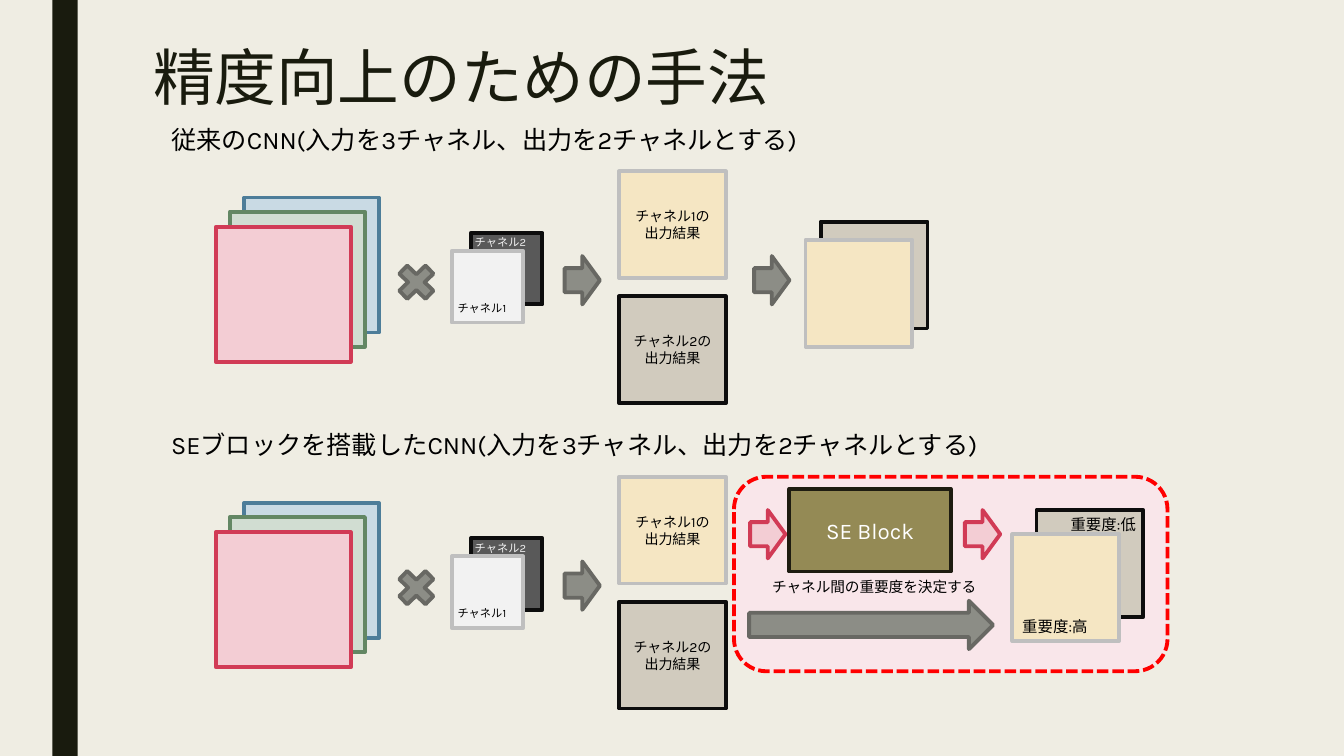
import pptx
import pptx.util
from pptx.dml.color import RGBColor
from pptx.enum.dml import MSO_LINE
from pptx.enum.shapes import MSO_SHAPE
from pptx.enum.text import MSO_ANCHOR, MSO_AUTO_SIZE, PP_ALIGN

PX = 9144
FONT = "Karla"

BACKGROUND = RGBColor(0xEF, 0xED, 0xE3)
DARK = RGBColor(0x19, 0x1B, 0x0E)
BLACK = RGBColor(0x00, 0x00, 0x00)
WHITE = RGBColor(0xFF, 0xFF, 0xFF)
PALE = RGBColor(0xF2, 0xF2, 0xF2)
RED = RGBColor(0xFF, 0x00, 0x00)
BLUSH = RGBColor(0xF9, 0xE6, 0xEA)
SILVER = RGBColor(0xBF, 0xBF, 0xBF)
INK = RGBColor(0x0D, 0x0D, 0x0D)

BLUE_STYLE = (RGBColor(0xC9, 0xDA, 0xE4), RGBColor(0x4D, 0x7D, 0x99))
GREEN_STYLE = (RGBColor(0xD1, 0xDD, 0xD2), RGBColor(0x63, 0x87, 0x64))
PINK_STYLE = (RGBColor(0xF3, 0xCD, 0xD4), RGBColor(0xD1, 0x3B, 0x56))
GRAY_STYLE = (RGBColor(0x8C, 0x8D, 0x86), RGBColor(0x68, 0x68, 0x63))
DARK_FILTER_STYLE = (RGBColor(0x59, 0x59, 0x59), INK)
LIGHT_FILTER_STYLE = (PALE, SILVER)
CREAM_STYLE = (RGBColor(0xF5, 0xE6, 0xC3), SILVER)
TAUPE_STYLE = (RGBColor(0xD1, 0xCB, 0xBE), INK)
OLIVE_STYLE = (RGBColor(0x94, 0x8A, 0x55), RGBColor(0x1E, 0x1C, 0x11))

INPUT_SIZE = 134
FILTER_SIZE = 71
OUTPUT_SIZE = 106
ARROW_WIDTH = 35
ARROW_HEIGHT = 48


def set_attributes(target, values):
    for name, value in values.items():
        setattr(target, name, value)


def write_lines(frame, lines, size, color, paragraph_format):
    for index, line in enumerate(lines):
        paragraph = frame.paragraphs[0] if index == 0 else frame.add_paragraph()
        set_attributes(paragraph, paragraph_format)
        run = paragraph.add_run()
        run.text = line
        set_attributes(run.font, {"name": FONT, "size": pptx.util.Pt(size)})
        run.font.color.rgb = color


def add_block(shapes, kind, box, style, lines=(), size=10, color=BLACK):
    shape = shapes.add_shape(kind, *(length * PX for length in box))
    fill, outline = style
    shape.shadow.inherit = False
    shape.fill.solid()
    shape.fill.fore_color.rgb = fill
    if outline is None:
        shape.line.fill.background()
    else:
        shape.line.color.rgb = outline
        shape.line.width = pptx.util.Pt(2.75)
    set_attributes(shape.text_frame, {"word_wrap": True, "vertical_anchor": MSO_ANCHOR.MIDDLE})
    write_lines(shape.text_frame, lines, size, color, {"alignment": PP_ALIGN.CENTER})
    return shape


def add_label(shapes, box, text, size, color=BLACK, fit=MSO_AUTO_SIZE.SHAPE_TO_FIT_TEXT, spacing=1.0):
    label = shapes.add_textbox(*(length * PX for length in box))
    set_attributes(label.text_frame, {
        "word_wrap": True, "auto_size": fit, "vertical_anchor": MSO_ANCHOR.TOP,
    })
    write_lines(label.text_frame, [text], size, color, {"line_spacing": spacing})


def add_arrow(shapes, left, top, style, width=ARROW_WIDTH):
    add_block(shapes, MSO_SHAPE.RIGHT_ARROW, (left, top, width, ARROW_HEIGHT), style)


def add_stack(slide, size, squares):
    group = slide.shapes.add_group_shape()
    for left, top, style in squares:
        add_block(group.shapes, MSO_SHAPE.RECTANGLE, (left, top, size, size), style)
    return group


def draw_title(slide, left, top, width, height):
    add_block(slide.shapes, MSO_SHAPE.RECTANGLE, (52, 0, 25, 750), (DARK, None))
    add_label(slide.shapes, (left, top, width, height), "精度向上のための手法", 44, DARK,
              MSO_AUTO_SIZE.NONE, 0.89)


def draw_convolution(slide, left, top, heading_width, heading):
    shapes = slide.shapes
    add_label(shapes, (left, top, heading_width, 40), heading, 18)
    input_styles = (BLUE_STYLE, GREEN_STYLE, PINK_STYLE)
    add_stack(slide, INPUT_SIZE, [
        (left + 82 - 14 * index, top + 78 + 29 * index // 2, style)
        for index, style in enumerate(input_styles)
    ])
    add_stack(slide, FILTER_SIZE, [
        (left + 307, top + 113, DARK_FILTER_STYLE),
        (left + 288, top + 131, LIGHT_FILTER_STYLE),
    ])
    add_block(shapes, MSO_SHAPE.MATH_MULTIPLY, (left + 228, top + 138, 50, 48), GRAY_STYLE)
    for index, style in enumerate((CREAM_STYLE, TAUPE_STYLE)):
        add_block(shapes, MSO_SHAPE.RECTANGLE,
                  (left + 454, top + 52 + 124 * index, OUTPUT_SIZE, OUTPUT_SIZE), style,
                  [f"チャネル{index + 1}の", "出力結果"])
    add_arrow(shapes, left + 400, top + 136, GRAY_STYLE)
    add_label(shapes, (left + 284, top + 176, 72, 24), "チャネル1", 8)
    add_label(shapes, (left + 301, top + 111, 72, 24), "チャネル2", 8, PALE)


def draw_plain_output(slide, left, top):
    add_arrow(slide.shapes, left, top + 34, GRAY_STYLE)
    add_stack(slide, OUTPUT_SIZE, [
        (left + 66, top, TAUPE_STYLE),
        (left + 51, top + 18, CREAM_STYLE),
    ])


def draw_se_region(slide, left, top, width, height):
    shapes = slide.shapes
    frame = add_block(shapes, MSO_SHAPE.ROUNDED_RECTANGLE, (left, top, width, height), (BLUSH, RED))
    frame.line.dash_style = MSO_LINE.SQUARE_DOT
    add_label(shapes, (left + 28, top + 95, 226, 28), "チャネル間の重要度を決定する", 10.5)
    outputs = add_stack(slide, OUTPUT_SIZE, [
        (left + 300, top + 33, TAUPE_STYLE),
        (left + 276, top + 57, CREAM_STYLE),
    ])
    add_label(outputs.shapes, (left + 324, top + 33, 86, 29), "重要度:低", 11)
    add_label(outputs.shapes, (left + 276, top + 134, 86, 29), "重要度:高", 11)
    add_arrow(shapes, left + 15, top + 123, GRAY_STYLE, 242)
    add_arrow(shapes, left + 16, top + 33, PINK_STYLE)
    add_block(shapes, MSO_SHAPE.RECTANGLE, (left + 55, top + 12, 160, 82), OLIVE_STYLE,
              ["SE Block"], 16, WHITE)
    add_arrow(shapes, left + 229, top + 33, PINK_STYLE)


def main():
    presentation = pptx.Presentation()
    set_attributes(presentation, {"slide_width": 1333 * PX, "slide_height": 750 * PX})
    slide = presentation.slides.add_slide(presentation.slide_layouts[6])
    slide.background.fill.solid()
    slide.background.fill.fore_color.rgb = BACKGROUND
    draw_title(slide, 142, 43, 1050, 162)
    draw_convolution(slide, 160, 118, 642, "従来のCNN(入力を3チャネル、出力を2チャネルとする)")
    draw_plain_output(slide, 748, 220)
    draw_convolution(slide, 160, 421, 822, "SEブロックを搭載したCNN(入力を3チャネル、出力を2チャネルとする)")
    draw_se_region(slide, 728, 473, 430, 193)
    presentation.save("out.pptx")


if __name__ == "__main__":
    main()
